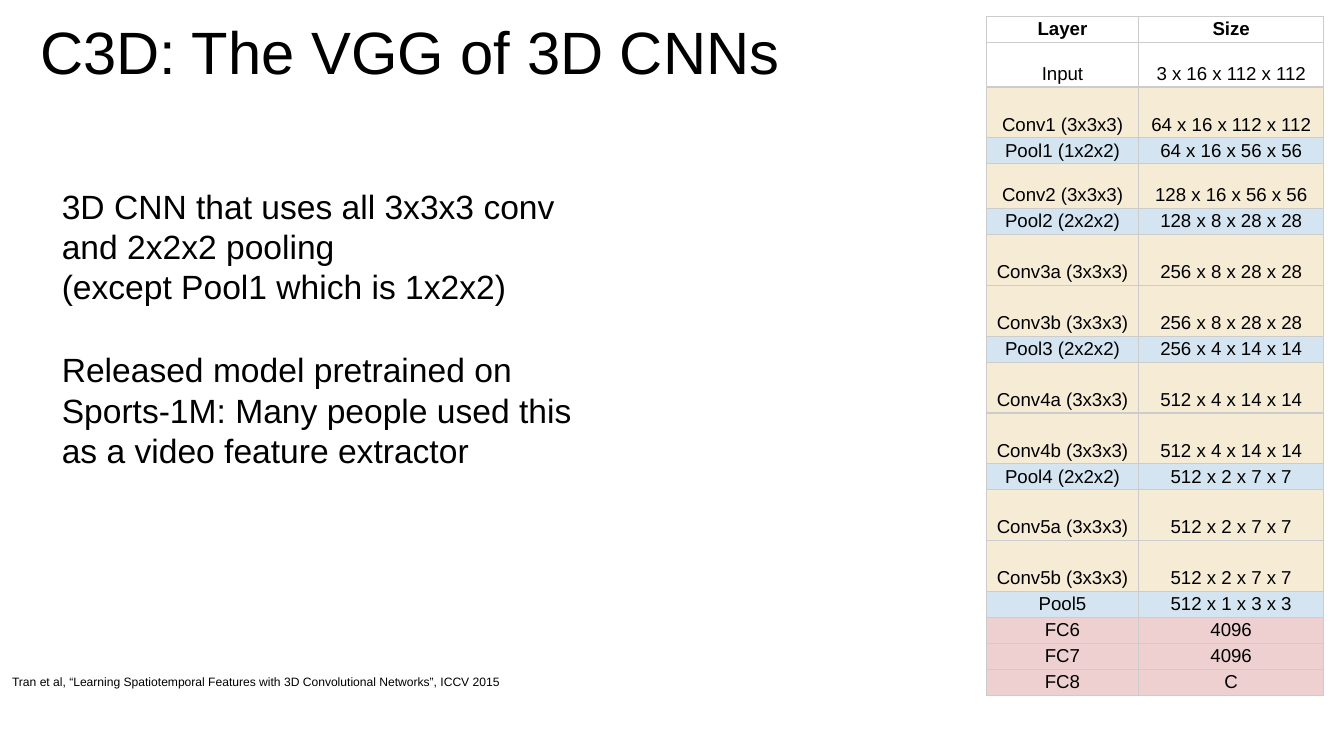
from dataclasses import dataclass

import pptx
import pptx.dml.color
import pptx.enum.text
import pptx.oxml
import pptx.oxml.ns
import pptx.util
from pptx.util import Inches


@dataclass(frozen=True)
class Theme:
    font: str = "Arial"
    text: str = "000000"
    border: str = "CCCCCC"
    conv: str = "F6EBD4"
    pool: str = "D4E4F1"
    dense: str = "EED0D0"
    title_size: float = 32
    body_size: float = 18
    table_size: float = 10
    source_size: float = 6.5


THEME = Theme()
FILLS = {"Conv": THEME.conv, "Pool": THEME.pool, "FC": THEME.dense}

# Row heights in points
SHORT, MEDIUM, TALL = 14, 24, 27.2

LAYERS = [
    ("Layer", "Size", SHORT),
    ("Input", "3 x 16 x 112 x 112", MEDIUM),
    ("Conv1 (3x3x3)", "64 x 16 x 112 x 112", TALL),
    ("Pool1 (1x2x2)", "64 x 16 x 56 x 56", SHORT),
    ("Conv2 (3x3x3)", "128 x 16 x 56 x 56", MEDIUM),
    ("Pool2 (2x2x2)", "128 x 8 x 28 x 28", SHORT),
    ("Conv3a (3x3x3)", "256 x 8 x 28 x 28", TALL),
    ("Conv3b (3x3x3)", "256 x 8 x 28 x 28", TALL),
    ("Pool3 (2x2x2)", "256 x 4 x 14 x 14", SHORT),
    ("Conv4a (3x3x3)", "512 x 4 x 14 x 14", TALL),
    ("Conv4b (3x3x3)", "512 x 4 x 14 x 14", TALL),
    ("Pool4 (2x2x2)", "512 x 2 x 7 x 7", SHORT),
    ("Conv5a (3x3x3)", "512 x 2 x 7 x 7", TALL),
    ("Conv5b (3x3x3)", "512 x 2 x 7 x 7", TALL),
    ("Pool5", "512 x 1 x 3 x 3", SHORT),
    ("FC6", "4096", SHORT),
    ("FC7", "4096", SHORT),
    ("FC8", "C", SHORT),
]


def rgb(value):
    return pptx.dml.color.RGBColor.from_string(value)


def style_paragraph(p, size, align=pptx.enum.text.PP_ALIGN.LEFT, bold=False):
    p.alignment = align
    p.font.name = THEME.font
    p.font.size = pptx.util.Pt(size)
    p.font.bold = bold
    p.font.color.rgb = rgb(THEME.text)


def set_margins(frame, left=0, top=0, bottom=0):
    frame.margin_left, frame.margin_right = Inches(left), 0
    frame.margin_top, frame.margin_bottom = Inches(top), Inches(bottom)


def fill_frame(tf, paragraphs, size, top):
    set_margins(tf, left=0.01, top=top)
    tf.word_wrap = True
    tf.auto_size = pptx.enum.text.MSO_AUTO_SIZE.SHAPE_TO_FIT_TEXT
    for i, text in enumerate(paragraphs):
        p = tf.add_paragraph() if i else tf.paragraphs[0]
        p.text = text
        style_paragraph(p, size)


def add_title(s, text, box):
    title = s.shapes.title
    title.left, title.top, title.width, title.height = map(Inches, box)
    fill_frame(title.text_frame, [text], THEME.title_size, 0.03)
    title.text_frame.vertical_anchor = pptx.enum.text.MSO_ANCHOR.MIDDLE


def add_text(s, paragraphs, box, size):
    tf = s.shapes.add_textbox(*map(Inches, box)).text_frame
    fill_frame(tf, paragraphs, size, 0.02)
    return tf


def set_borders(cell):
    tc_pr = cell._tc.get_or_add_tcPr()
    for side in ("lnL", "lnR", "lnT", "lnB"):
        tc_pr.append(pptx.oxml.parse_xml(
            f'<a:{side} {pptx.oxml.ns.nsdecls("a")} w="9525"><a:solidFill>'
            f'<a:srgbClr val="{THEME.border}"/></a:solidFill></a:{side}>'))


def fill_cell(cell, text, color, bold):
    set_margins(cell, bottom=0.02)
    cell.vertical_anchor = pptx.enum.text.MSO_ANCHOR.BOTTOM
    p = cell.text_frame.paragraphs[0]
    p.text = text
    p.line_spacing = pptx.util.Pt(11.4)
    style_paragraph(p, THEME.table_size, pptx.enum.text.PP_ALIGN.CENTER, bold)
    set_borders(cell)
    if color:
        cell.fill.solid()
        cell.fill.fore_color.rgb = rgb(color)
    else:
        cell.fill.background()


def add_layer_table(s, left, top, widths):
    height = sum(points for _, _, points in LAYERS) / 72
    table = s.shapes.add_table(
        len(LAYERS), len(widths), Inches(left), Inches(top),
        Inches(sum(widths)), Inches(height)).table
    table.first_row = table.horz_banding = False
    for column, width in zip(table.columns, widths):
        column.width = Inches(width)
    for i, (layer, size, points) in enumerate(LAYERS):
        table.rows[i].height = Inches(points / 72)
        color = next((c for kind, c in FILLS.items() if layer.startswith(kind)), None)
        for j, text in enumerate((layer, size)):
            fill_cell(table.cell(i, j), text, color, bold=i == 0)


def main():
    prs = pptx.Presentation()
    # 16:9 page
    prs.slide_width, prs.slide_height = Inches(10), Inches(10 * 9 / 16)
    s = prs.slides.add_slide(prs.slide_layouts[5])

    # Title
    add_title(s, "C3D: The VGG of 3D CNNs", (0.29, 0.08, 5.55, 0.56))

    # Source of the model
    add_text(s, ["Tran et al, “Learning Spatiotemporal Features with 3D "
                 "Convolutional Networks”, ICCV 2015"],
             (0.08, 5, 3.81, 0.13), THEME.source_size)

    # Layers and output sizes
    add_layer_table(s, 7.34, 0.12, (1.13, 1.38))

    # Description, with a gap before the last paragraph
    tf = add_text(s, ["3D CNN that uses all 3x3x3 conv and 2x2x2 pooling",
                      "(except Pool1 which is 1x2x2)",
                      "Released model pretrained on Sports-1M: Many people "
                      "used this as a video feature extractor"],
                  (0.45, 1.36, 3.82, 2.13), THEME.body_size)
    tf.paragraphs[-1].space_before = pptx.util.Pt(23)

    prs.save("out.pptx")


if __name__ == "__main__":
    main()
